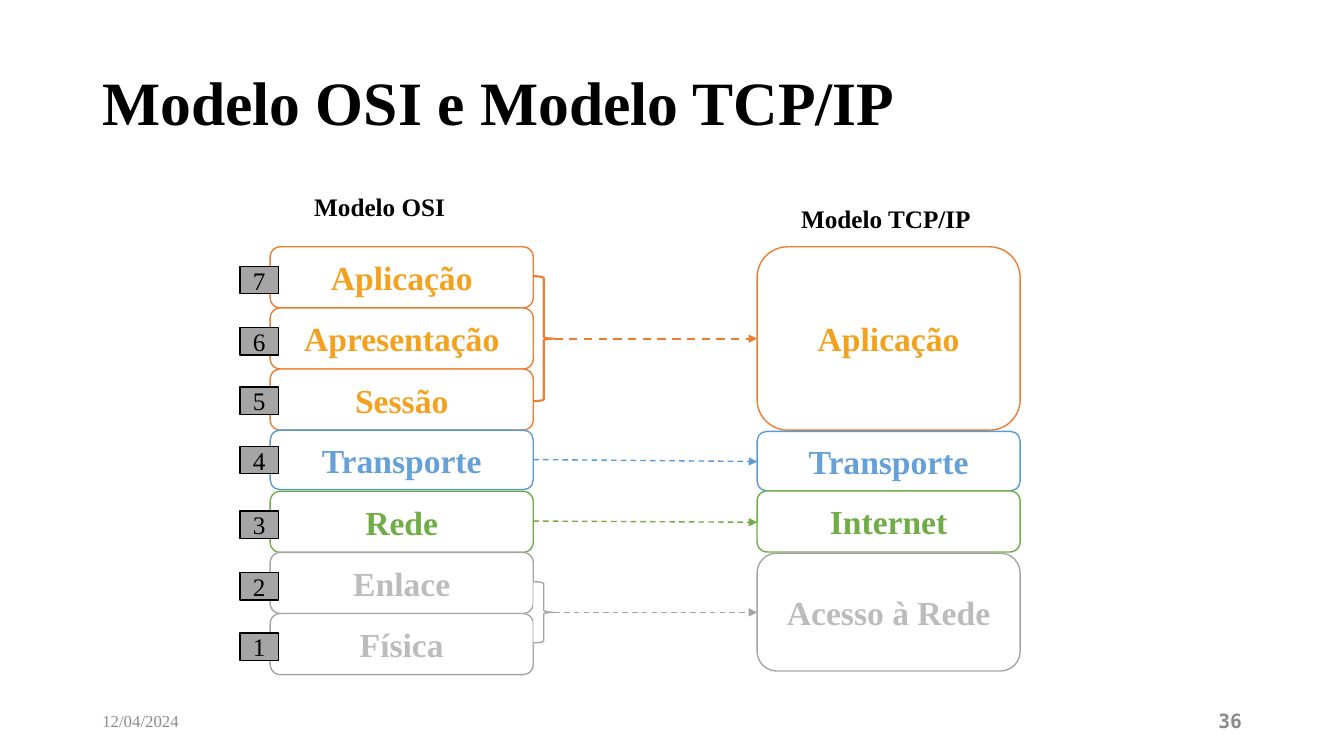
"""Build a slide that maps the OSI layers to the TCP/IP layers."""
import pptx
import pptx.dml.color
import pptx.enum.dml
import pptx.enum.shapes
import pptx.enum.text
import pptx.oxml
import pptx.util

Cm = pptx.util.Cm
Pt = pptx.util.Pt
RGBColor = pptx.dml.color.RGBColor
Shape = pptx.enum.shapes.MSO_SHAPE
Align = pptx.enum.text.PP_ALIGN
Anchor = pptx.enum.text.MSO_ANCHOR

BLACK = RGBColor(0x00, 0x00, 0x00)
WHITE = RGBColor(0xFF, 0xFF, 0xFF)
MUTED = RGBColor(0x8C, 0x8C, 0x8C)
ORANGE = RGBColor(0xED, 0x7D, 0x31)
AMBER = RGBColor(0xF3, 0xA2, 0x1F)
BLUE = RGBColor(0x5B, 0x9B, 0xD5)
SKY = RGBColor(0x65, 0xA1, 0xD8)
GREEN = RGBColor(0x70, 0xAD, 0x47)
GRAY = RGBColor(0xA5, 0xA5, 0xA5)
SILVER = RGBColor(0xBC, 0xBC, 0xBC)

SERIF = "Times New Roman"
MONO = "DejaVu Sans Mono"

OSI_LEFT, TCP_LEFT, WIDTH = 6.81, 19.08, 6.63
OSI_EDGE = OSI_LEFT + WIDTH
TOP, PITCH = 6.22, 1.54
BRACE = 0.53

OSI = [
    ("Aplicação", 1.54, ORANGE, AMBER, 6.71),
    ("Apresentação", 1.54, ORANGE, AMBER, 8.26),
    ("Sessão", 1.54, ORANGE, AMBER, 9.75),
    ("Transporte", 1.5, BLUE, SKY, 11.25),
    ("Rede", 1.54, GREEN, GREEN, 12.88),
    ("Enlace", 1.54, GRAY, SILVER, 14.43),
    ("Física", 1.54, GRAY, SILVER, 15.95),
]
TCP = [
    ("Aplicação", TOP, 4.62, ORANGE, AMBER),
    ("Transporte", 10.87, 1.5, BLUE, SKY),
    ("Internet", 12.37, 1.54, GREEN, GREEN),
    ("Acesso à Rede", 13.94, 2.97, GRAY, SILVER),
]


def write(shape, text, size, color, bold=True, align=Align.LEFT,
          anchor=Anchor.MIDDLE, face=SERIF):
    """Put one formatted paragraph in a shape."""
    frame = shape.text_frame
    frame.word_wrap = True
    frame.vertical_anchor = anchor
    frame.text = text
    para = frame.paragraphs[0]
    para.alignment = align
    font = para.runs[0].font
    font.name, font.size, font.bold = face, Pt(size), bold
    font.color.rgb = color
    return para


def label(slide, text, box, size, color, **style):
    """Add a text box and return its paragraph."""
    shape = slide.shapes.add_textbox(*map(Cm, box))
    return write(shape, text, size, color, **style)


def block(slide, kind, box, line, fill=None, weight=1):
    """Add an outlined preset shape."""
    shape = slide.shapes.add_shape(kind, *map(Cm, box))
    shape.shadow.inherit = False
    if fill is None:
        shape.fill.background()
    else:
        shape.fill.solid()
        shape.fill.fore_color.rgb = fill
    shape.line.color.rgb = line
    shape.line.width = Pt(weight)
    return shape


def layer(slide, text, box, line, color):
    """Add a rounded box for one layer."""
    shape = block(slide, Shape.ROUNDED_RECTANGLE, box, line, WHITE)
    write(shape, text, 24, color, align=Align.CENTER)


def tag(slide, num, top):
    """Add the number of an OSI layer."""
    shape = block(slide, Shape.RECTANGLE, (6.05, top, 0.97, 0.69), BLACK, GRAY)
    write(shape, str(num), 18, BLACK, bold=False, align=Align.CENTER)


def arrow(slide, left, start, end, color, weight=1):
    """Add a dashed arrow that ends at the TCP/IP column."""
    link = slide.shapes.add_connector(
        pptx.enum.shapes.MSO_CONNECTOR.STRAIGHT,
        Cm(left), Cm(start), Cm(TCP_LEFT), Cm(end))
    link.line.color.rgb = color
    link.line.width = Pt(weight)
    link.line.dash_style = pptx.enum.dml.MSO_LINE.DASH
    space = pptx.oxml.ns.nsdecls("a")
    head = pptx.oxml.parse_xml(f'<a:tailEnd {space} type="triangle"/>')
    link.line._get_or_add_ln().append(head)
    link._element.spPr.append(pptx.oxml.parse_xml(f"<a:effectLst {space}/>"))


def group(slide, top, height, color, fill=None, weight=1):
    """Add a brace with an arrow from its tip."""
    box = (OSI_EDGE, top, BRACE, height)
    block(slide, Shape.RIGHT_BRACE, box, color, fill, weight)
    mid = top + height / 2
    arrow(slide, OSI_EDGE + BRACE, mid, mid, color, weight)


def main():
    """Build and save the slide."""
    deck = pptx.Presentation()
    deck.slide_width, deck.slide_height = Cm(33.87), Cm(19.05)
    slide = deck.slides.add_slide(deck.slide_layouts[6])

    title = label(slide, "Modelo OSI e Modelo TCP/IP",
                  (2.33, 1.02, 29.21, 3.3), 44, BLACK)
    title.line_spacing = 0.9
    label(slide, "12/04/2024", (2.33, 17.65, 7.62, 1.02), 12, MUTED,
          bold=False)
    label(slide, "36", (23.93, 17.65, 7.62, 1.02), 14, MUTED,
          align=Align.RIGHT, face=MONO)

    for row, (text, height, line, color, _) in enumerate(OSI):
        box = (OSI_LEFT, TOP + row * PITCH, WIDTH, height)
        layer(slide, text, box, line, color)
    for text, top, height, line, color in TCP:
        layer(slide, text, (TCP_LEFT, top, WIDTH, height), line, color)

    group(slide, 6.96, 3.15, ORANGE, weight=1.5)
    group(slide, 14.66, 1.54, GRAY, fill=WHITE)
    arrow(slide, OSI_EDGE, 11.58, 11.63, BLUE)
    arrow(slide, OSI_EDGE, 13.13, 13.16, GREEN)

    for row, item in enumerate(OSI):
        tag(slide, len(OSI) - row, item[-1])
    label(slide, "Modelo OSI", (7.67, 4.7, 4.93, 1.02), 18, BLACK,
          anchor=Anchor.TOP)
    label(slide, "Modelo TCP/IP", (19.94, 5, 4.93, 1.02), 18, BLACK,
          anchor=Anchor.TOP)
    deck.save("out.pptx")


if __name__ == "__main__":
    main()
